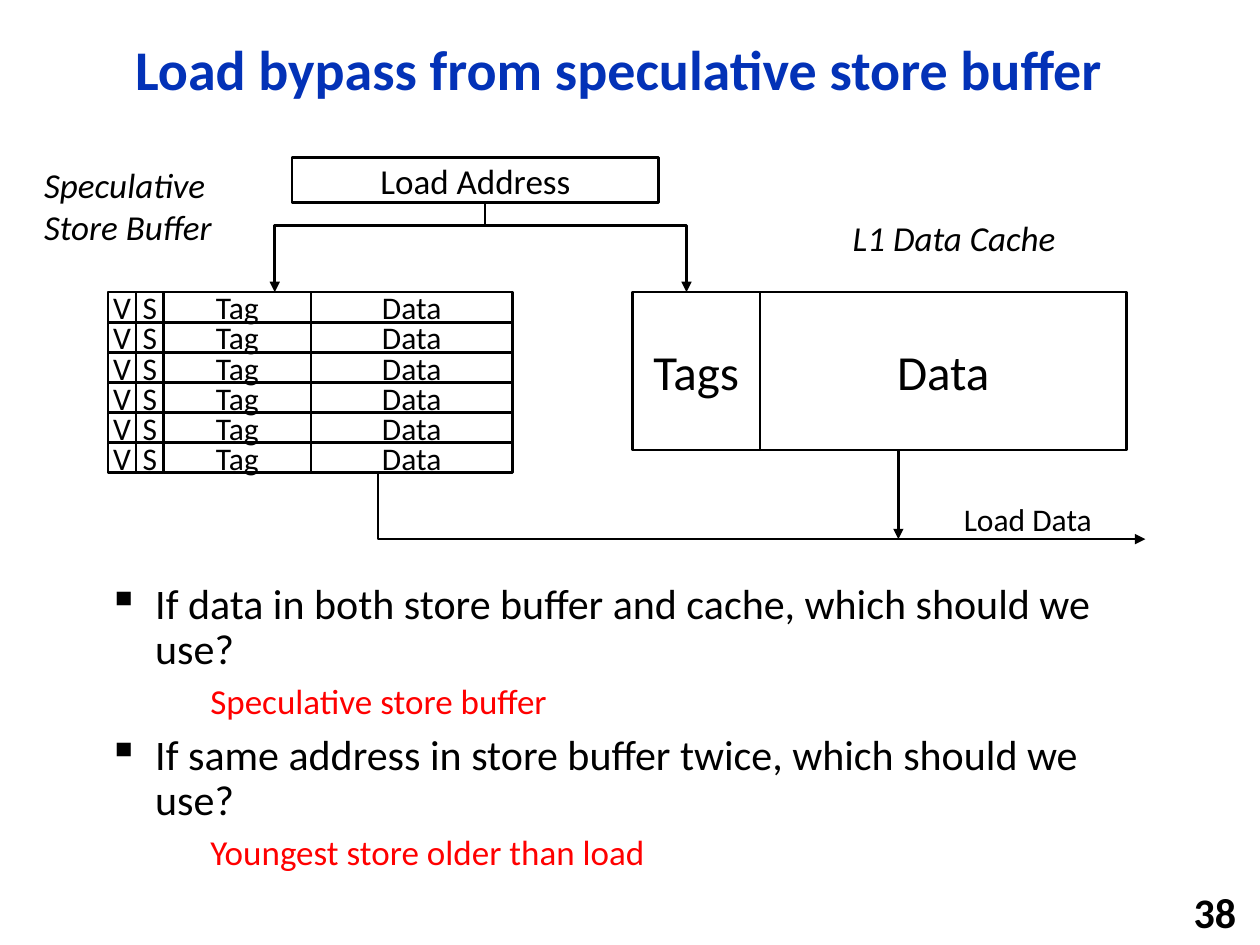
from lxml import etree
from pptx import Presentation
from pptx.dml.color import RGBColor
from pptx.enum.shapes import MSO_CONNECTOR, MSO_SHAPE
from pptx.enum.text import MSO_ANCHOR, PP_ALIGN
from pptx.oxml.ns import qn
from pptx.util import Cm, Pt

BLACK = RGBColor(0x00, 0x00, 0x00)
WHITE = RGBColor(0xFF, 0xFF, 0xFF)
BLUE = RGBColor(0x03, 0x32, 0xB7)
RED = RGBColor(0xFF, 0x00, 0x00)
LEFT, CENTER, RIGHT = PP_ALIGN.LEFT, PP_ALIGN.CENTER, PP_ALIGN.RIGHT
TOP, MIDDLE = MSO_ANCHOR.TOP, MSO_ANCHOR.MIDDLE
RECTANGLE = MSO_SHAPE.RECTANGLE
STRAIGHT = MSO_CONNECTOR.STRAIGHT

presentation = Presentation()
presentation.slide_width = Cm(25.4)
presentation.slide_height = Cm(19.05)
slide = presentation.slides.add_slide(presentation.slide_layouts[5])


def write(paragraph, text, size, color=BLACK, align=LEFT, **style):
    paragraph.text = text
    paragraph.alignment = align
    font_format = {"name": "Calibri", "size": Pt(size), **style}
    for attribute, value in font_format.items():
        setattr(paragraph.font, attribute, value)
    paragraph.font.color.rgb = color


def add_box(shapes, text, size, left, top, width, height):
    box = shapes.add_shape(RECTANGLE, Cm(left), Cm(top), Cm(width), Cm(height))
    box.shadow.inherit = False
    box.fill.solid()
    box.fill.fore_color.rgb = WHITE
    box.line.color.rgb = BLACK
    box.line.width = Pt(1.5)
    box.text_frame.word_wrap = False
    box.text_frame.vertical_anchor = MIDDLE
    write(box.text_frame.paragraphs[0], text, size, align=CENTER)


title = slide.shapes.title
title_place = {"left": Cm(2.34), "top": Cm(0.43), "width": Cm(20.27), "height": Cm(2.06)}
for attribute, value in title_place.items():
    setattr(title, attribute, value)
title.text_frame.vertical_anchor = MIDDLE
heading = title.text_frame.paragraphs[0]
write(heading, "Load bypass from speculative store buffer", 32, BLUE, CENTER, bold=True)
heading.line_spacing = 0.9

questions = slide.shapes.add_textbox(Cm(1.93), Cm(11.63), Cm(21.34), Cm(5.36)).text_frame
questions.word_wrap = True
question_lines = [
    ("If data in both store buffer and cache, which should we use?", True),
    ("Speculative store buffer", False),
    ("If same address in store buffer twice, which should we use?", True),
    ("Youngest store older than load", False),
]
for number, (text, is_question) in enumerate(question_lines):
    paragraph = questions.add_paragraph() if number else questions.paragraphs[0]
    paragraph.line_spacing = 0.9
    if number:
        paragraph.space_before = Pt(7 if is_question else 6)
    properties = paragraph._p.get_or_add_pPr()
    if is_question:
        properties.set("marL", str(Cm(0.95)))
        properties.set("indent", str(Cm(-0.95)))
        etree.SubElement(properties, qn("a:buChar"), char="▪")
        write(paragraph, text, 24)
    else:
        paragraph.level = 1
        properties.set("marL", str(Cm(2.06)))
        properties.set("indent", "0")
        etree.SubElement(properties, qn("a:buNone"))
        write(paragraph, text, 20, RED)

cache_top, cache_height = 5.89, 3.18
add_box(slide.shapes, "Data", 28, 15.32, cache_top, 7.39, cache_height)
add_box(slide.shapes, "Load Address", 20, 5.89, 3.18, 7.39, 0.91)
add_box(slide.shapes, "Tags", 28, 12.75, cache_top, 2.57, cache_height)

labels = [
    ("Speculative Store Buffer", 0.64, 3.18, 4.27, 1.96, TOP, True,
     {"size": 20, "italic": True}),
    ("L1 Data Cache", 16.94, 4.24, 5, 1.12, TOP, True, {"size": 20, "italic": True}),
    ("Load Data", 19.18, 9.96, 3.12, 1.02, TOP, False, {"size": 18}),
    ("38", 19.89, 17.98, 5.28, 0.81, MIDDLE, True,
     {"size": 24, "align": RIGHT, "bold": True}),
]
for text, left, top, width, height, anchor, wrap, style in labels:
    label = slide.shapes.add_textbox(Cm(left), Cm(top), Cm(width), Cm(height)).text_frame
    label.word_wrap = wrap
    label.vertical_anchor = anchor
    write(label.paragraphs[0], text, **style)

buffer_top, buffer_bottom, row_count = 5.89, 9.53, 6
row_height = (buffer_bottom - buffer_top) / row_count
buffer_columns = [("V", 0.56), ("S", 0.56), ("Tag", 2.97), ("Data", 4.06)]
for row in reversed(range(row_count)):
    entry = slide.shapes.add_group_shape()
    left = 2.18
    for field, width in buffer_columns:
        add_box(entry.shapes, field, 18, left, buffer_top + row * row_height, width, row_height)
        left += width

split_y, load_data_y = 4.55, 10.87
routes = [
    [(9.78, 4.09), (9.78, split_y), (13.84, split_y), (13.84, cache_top)],
    [(9.78, split_y), (5.54, split_y), (5.54, buffer_top)],
    [(7.62, buffer_bottom), (7.62, load_data_y), (23.09, load_data_y)],
]
arrows = []
for route in routes:
    start, *corners = [(Cm(x), Cm(y)) for x, y in route]
    builder = slide.shapes.build_freeform(*start)
    builder.add_line_segments(corners, close=False)
    arrow = builder.convert_to_shape()
    arrow.shadow.inherit = False
    arrow.fill.background()
    arrows.append(arrow)

cache_output = slide.shapes.add_connector(
    STRAIGHT, Cm(18.11), Cm(cache_top + cache_height), Cm(18.11), Cm(load_data_y))
arrows.append(cache_output)
for arrow in arrows:
    arrow.line.color.rgb = BLACK
    arrow.line.width = Pt(1.5)
    etree.SubElement(arrow.line._get_or_add_ln(), qn("a:tailEnd"), type="triangle")
etree.SubElement(cache_output._element.spPr, qn("a:effectLst"))

presentation.save("out.pptx")
